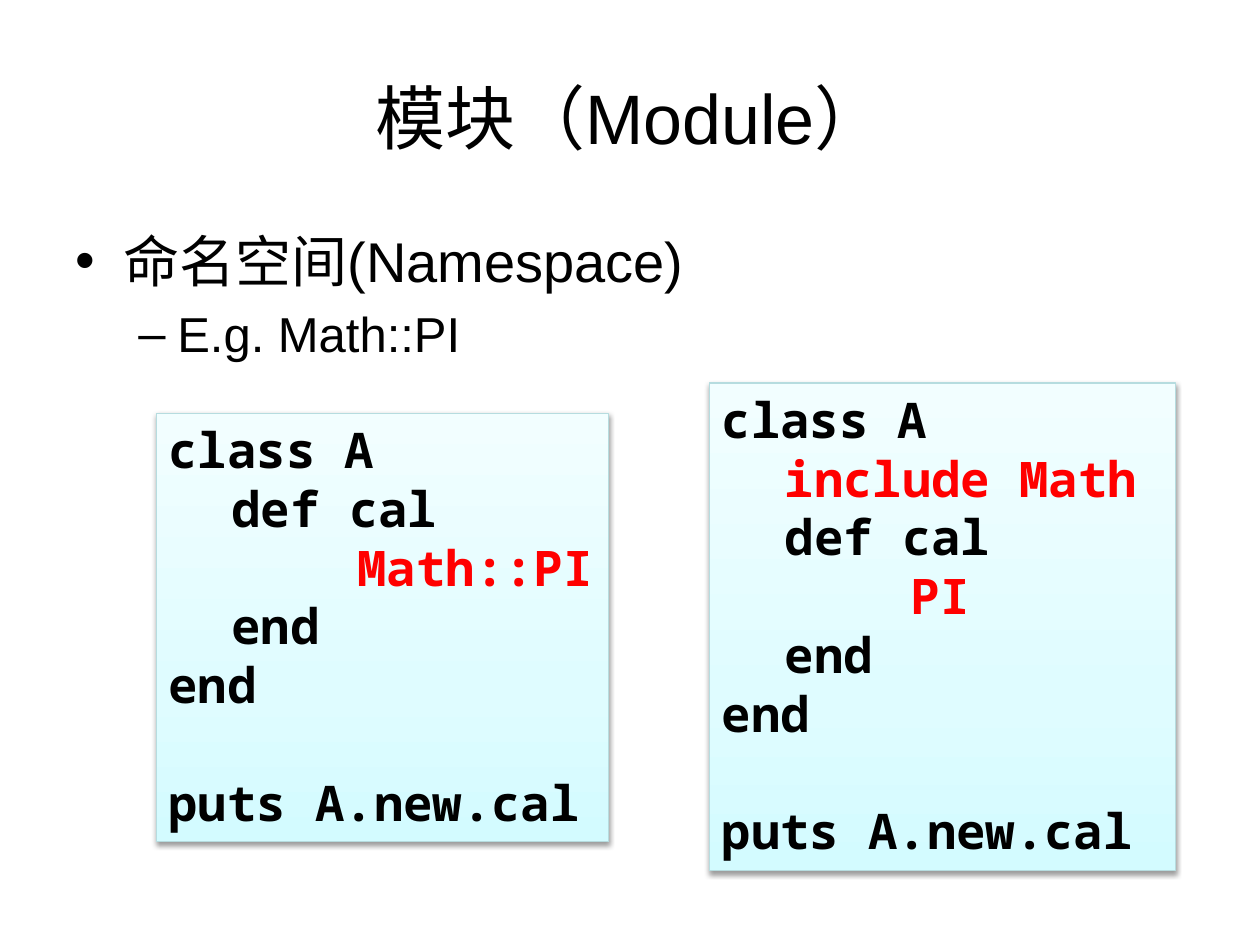
from dataclasses import dataclass

from lxml.etree import SubElement
from pptx import Presentation
from pptx.dml.color import RGBColor as Color
from pptx.enum.shapes import MSO_SHAPE as Preset
from pptx.enum.text import MSO_ANCHOR as Anchor, MSO_AUTO_SIZE as AutoSize, PP_ALIGN as Align
from pptx.oxml.ns import qn
from pptx.util import Inches, Pt


@dataclass(frozen=True)
class Theme:
    text_font: str = "Arial"
    code_font: str = "Noto Sans Mono"
    ink: str = "000000"
    accent: str = "FF0000"
    border: str = "B6DCDF"
    gradient: tuple = ((0, "D3FBFF"), (35, "DFFCFF"), (100, "F2FEFF"))
    title_size: int = 40
    bullet_sizes: tuple = (32, 28)
    code_size: int = 28
    blank_line: float = 33.5


THEME = Theme()
CODE_INDENTS = (0, 0.5, 1.5)


def style(para, font, size, color=THEME.ink, bold=False):
    for span in para.runs:
        span.font.name = font
        span.font.size = Pt(size)
        span.font.bold = bold
        span.font.color.rgb = Color.from_string(color)


def add_paragraphs(frame, texts):
    """Fill the frame with one paragraph per text and return them."""
    frame.text = "\n".join(texts)
    return frame.paragraphs


def add_text_frame(page, left, top, width, height):
    box = page.shapes.add_textbox(Inches(left), Inches(top), Inches(width), Inches(height))
    box.text_frame.word_wrap = True
    return box.text_frame


def add_title(page, text):
    frame = add_text_frame(page, 0.5, 0.3, 9, 1.25)
    frame.vertical_anchor = Anchor.MIDDLE
    para = add_paragraphs(frame, [text])[0]
    para.alignment = Align.CENTER
    style(para, THEME.text_font, THEME.title_size)


def set_indent(para, left, first=0):
    props = para._p.get_or_add_pPr()
    props.set("marL", str(Inches(left)))
    props.set("indent", str(Inches(first)))
    return props


def add_bullets(page, items):
    """Each item is (level, text)."""
    layout = ((0.38, -0.38, "•"), (0.81, -0.31, "–"))
    frame = add_text_frame(page, 0.5, 1.75, 9, 4.95)
    paras = add_paragraphs(frame, [text for _, text in items])
    for para, (level, _) in zip(paras, items):
        left, first, mark = layout[level]
        size = THEME.bullet_sizes[level]
        para.level = level
        para.space_before = Pt(size * 0.2)
        props = set_indent(para, left, first)
        SubElement(props, qn("a:buFont"), typeface=THEME.text_font)
        SubElement(props, qn("a:buChar"), char=mark)
        style(para, THEME.text_font, size)


def set_gradient(shape):
    shape.fill.gradient()
    shape.fill.gradient_angle = 90
    stops = shape._element.spPr.find(qn("a:gradFill")).find(qn("a:gsLst"))
    for stop in list(stops):
        stops.remove(stop)
    for position, color in THEME.gradient:
        stop = SubElement(stops, qn("a:gs"), pos=str(position * 1000))
        SubElement(stop, qn("a:srgbClr"), val=color)


def set_shadow(shape):
    shape.shadow.inherit = False
    effects = shape._element.spPr.find(qn("a:effectLst"))
    shadow = SubElement(effects, qn("a:outerShdw"), blurRad=str(Pt(3.1)),
                        dist=str(Pt(1.6)), dir="5400000", rotWithShape="0")
    color = SubElement(shadow, qn("a:srgbClr"), val=THEME.ink)
    SubElement(color, qn("a:alpha"), val="38000")


def add_code(page, left, top, width, height, lines, accented):
    """Each line is (depth, text); a blank line sets off the last one."""
    panel = page.shapes.add_shape(Preset.RECTANGLE, Inches(left), Inches(top),
                                  Inches(width), Inches(height))
    set_gradient(panel)
    panel.line.color.rgb = Color.from_string(THEME.border)
    panel.line.width = Pt(0.75)
    set_shadow(panel)
    frame = panel.text_frame
    frame.word_wrap = True
    frame.vertical_anchor = Anchor.TOP
    frame.auto_size = AutoSize.SHAPE_TO_FIT_TEXT
    paras = add_paragraphs(frame, [text for _, text in lines])
    for para, (depth, text) in zip(paras, lines):
        para.alignment = Align.LEFT
        set_indent(para, CODE_INDENTS[depth])
        color = THEME.accent if text in accented else THEME.ink
        style(para, THEME.code_font, THEME.code_size, color, bold=True)
    paras[-1].space_before = Pt(THEME.blank_line)


def main():
    deck = Presentation()
    deck.slide_width, deck.slide_height = Inches(10), Inches(7.5)
    page = deck.slides.add_slide(deck.slide_layouts[6])

    # Heading and bullets
    add_title(page, "模块（Module）")
    add_bullets(page, [(0, "命名空间(Namespace)"), (1, "E.g. Math::PI")])

    # Qualified name beside the included module
    opening = (0, "class A")
    method = (1, "def cal")
    closing = [(1, "end"), (0, "end"), (0, "puts A.new.cal")]
    add_code(page, 1.24, 3.28, 3.59, 3.4,
             [opening, method, (2, "Math::PI"), *closing], {"Math::PI"})
    add_code(page, 5.63, 3.04, 3.7, 3.87,
             [opening, (1, "include Math"), method, (2, "PI"), *closing],
             {"include Math", "PI"})

    deck.save("out.pptx")


main()
